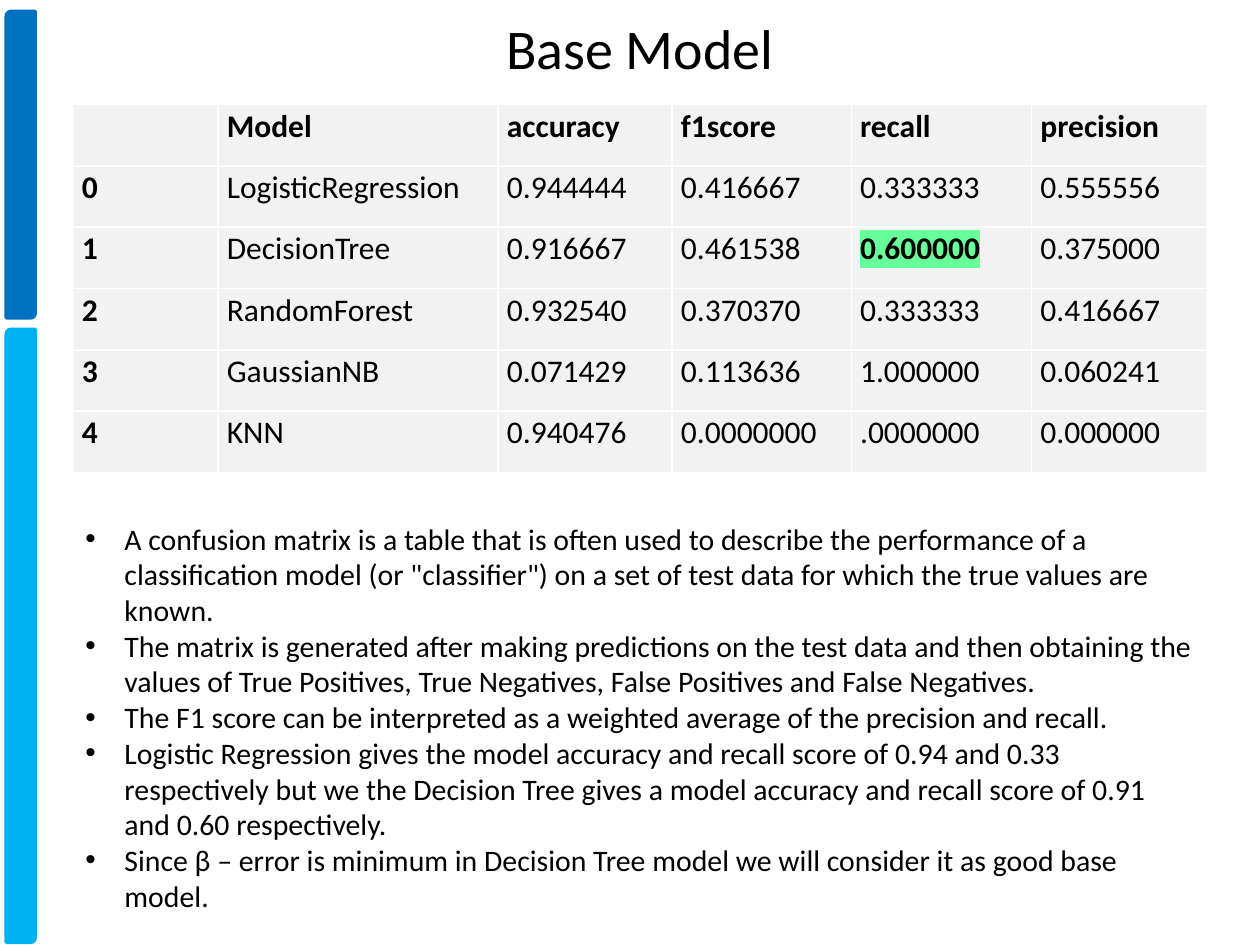
import pptx
import pptx.dml.color
import pptx.enum.shapes
import pptx.enum.text
import pptx.oxml
import pptx.oxml.ns
import pptx.util

SLIDE_W, SLIDE_H = 10, 7.5
FONT = "Calibri"
COLORS = {
    "text": "000000",
    "cell": "F2F2F2",
    "highlight": "66FF99",
    "upper_bar": "0070C0",
    "lower_bar": "00B0F0",
}
CONTENT_LEFT, CONTENT_W = 0.58, 9

COLUMN_WIDTHS = [1.15, 2.22, 1.38, 1.42, 1.43, 1.39]
SCORES = [
    ["", "Model", "accuracy", "f1score", "recall", "precision"],
    ["0", "LogisticRegression", "0.944444", "0.416667", "0.333333", "0.555556"],
    ["1", "DecisionTree", "0.916667", "0.461538", "0.600000", "0.375000"],
    ["2", "RandomForest", "0.932540", "0.370370", "0.333333", "0.416667"],
    ["3", "GaussianNB", "0.071429", "0.113636", "1.000000", "0.060241"],
    ["4", "KNN", "0.940476", "0.0000000", ".0000000", "0.000000"],
]
BEST_RECALL = (2, 4)
REMARKS = [
    "A confusion matrix is a table that is often used to describe the performance of a "
    "classification model (or \"classifier\") on a set of test data for which the true "
    "values are known.",
    "The matrix is generated after making predictions on the test data and then obtaining "
    "the values of True Positives, True Negatives, False Positives and False Negatives.",
    "The F1 score can be interpreted as a weighted average of the precision and recall.",
    "Logistic Regression gives the model accuracy and recall score of 0.94 and 0.33 "
    "respectively but we the Decision Tree gives a model accuracy and recall score of 0.91 "
    "and 0.60 respectively.",
    "Since β – error is minimum in Decision Tree model we will consider it as good base "
    "model.",
]


def rgb(name):
    return pptx.dml.color.RGBColor.from_string(COLORS[name])


def inches(box):
    return [pptx.util.Inches(length) for length in box]


def set_all(target, values):
    for name, value in values.items():
        setattr(target, name, value)


def add_run(paragraph, text, size, bold=False):
    run = paragraph.add_run()
    run.text = text
    set_all(run.font, {"name": FONT, "size": pptx.util.Pt(size), "bold": bold})
    run.font.color.rgb = rgb("text")
    return run


def highlight(run):
    mark = pptx.oxml.parse_xml(
        f'<a:highlight {pptx.oxml.ns.nsdecls("a")}>'
        f'<a:srgbClr val="{COLORS["highlight"]}"/></a:highlight>'
    )
    run.font.fill._xPr.find(pptx.oxml.ns.qn("a:solidFill")).addnext(mark)


def add_side_bars(slide, box):
    """Stack two bars in the box, the upper one a third of its height."""
    left, top, width, height = box
    gap = 0.09
    upper = (height - gap) / 3
    lower = height - gap - upper
    for color, y, bar_height in (
        ("upper_bar", top, upper),
        ("lower_bar", top + upper + gap, lower),
    ):
        bar = slide.shapes.add_shape(
            pptx.enum.shapes.MSO_SHAPE.ROUND_2_DIAG_RECTANGLE,
            *inches((left, y, width, bar_height)),
        )
        bar.shadow.inherit = False
        bar.fill.solid()
        bar.fill.fore_color.rgb = rgb(color)
        bar.line.color.rgb = rgb(color)
        bar.line.width = pptx.util.Pt(2)


def place_title(slide, box, text):
    title = slide.shapes.title
    set_all(title, dict(zip(("left", "top", "width", "height"), inches(box))))
    title.text_frame.vertical_anchor = pptx.enum.text.MSO_ANCHOR.MIDDLE
    paragraph = title.text_frame.paragraphs[0]
    paragraph.alignment = pptx.enum.text.PP_ALIGN.CENTER
    add_run(paragraph, text, 32)


def add_score_table(slide, box):
    table = slide.shapes.add_table(len(SCORES), len(COLUMN_WIDTHS), *inches(box)).table
    table.horz_banding = False
    for column, share in zip(table.columns, COLUMN_WIDTHS):
        column.width = pptx.util.Inches(box[2] * share / sum(COLUMN_WIDTHS))
    side_margin = pptx.util.Inches(0.07)
    margins = {
        "margin_left": side_margin,
        "margin_right": side_margin,
        "margin_top": 0,
        "margin_bottom": 0,
    }
    for r, scores in enumerate(SCORES):
        for c, score in enumerate(scores):
            cell = table.cell(r, c)
            set_all(cell, margins)
            cell.fill.solid()
            cell.fill.fore_color.rgb = rgb("cell")
            if not score:
                continue
            best = (r, c) == BEST_RECALL
            paragraph = cell.text_frame.paragraphs[0]
            paragraph.line_spacing = 1.07
            run = add_run(paragraph, score, 18, bold=r == 0 or c == 0 or best)
            if best:
                highlight(run)


def add_remarks(slide, box):
    frame = slide.shapes.add_textbox(*inches(box)).text_frame
    frame.word_wrap = True
    indent = pptx.util.Inches(0.31)
    for i, remark in enumerate(REMARKS):
        paragraph = frame.add_paragraph() if i else frame.paragraphs[0]
        add_run(paragraph, remark, 17)
        properties = paragraph._p.get_or_add_pPr()
        properties.set("marL", str(indent))
        properties.set("indent", str(-indent))
        for bullet in ('buFont typeface="Arial"', 'buChar char="•"'):
            tag, attribute = bullet.split(" ")
            properties.append(pptx.oxml.parse_xml(
                f'<a:{tag} {pptx.oxml.ns.nsdecls("a")} {attribute}/>'
            ))


def main():
    deck = pptx.Presentation()
    deck.slide_width, deck.slide_height = inches((SLIDE_W, SLIDE_H))
    slide = deck.slides.add_slide(deck.slide_layouts.get_by_name("Title Only"))
    add_side_bars(slide, (0.05, 0.09, 0.23, 7.39))
    place_title(slide, (CONTENT_LEFT, -0.25, CONTENT_W, 1.25), "Base Model")
    add_score_table(slide, (CONTENT_LEFT, 0.83, CONTENT_W, 2.92))
    add_remarks(slide, (CONTENT_LEFT, 4.08, CONTENT_W, 3.82))
    deck.save("out.pptx")


if __name__ == "__main__":
    main()
